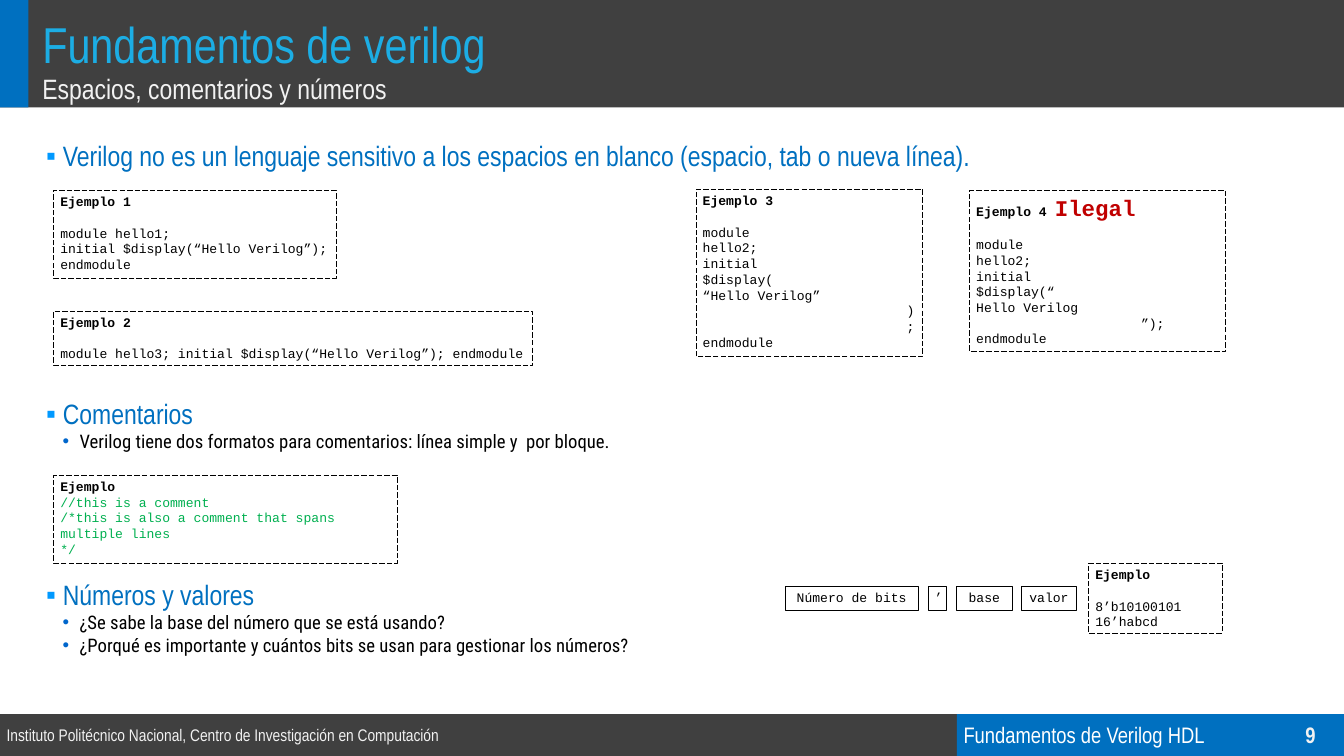
from dataclasses import dataclass

from lxml.etree import SubElement
from pptx import Presentation
from pptx.dml.color import RGBColor as Rgb
from pptx.enum.dml import MSO_LINE as Dash
from pptx.enum.shapes import MSO_SHAPE as Kind
from pptx.enum.text import MSO_ANCHOR as Anchor, PP_ALIGN as Align
from pptx.oxml.ns import qn
from pptx.util import Cm, Pt


@dataclass(frozen=True)
class Theme:
    dark: str = "404040"
    blue: str = "0070C0"
    sky: str = "1CADE4"
    pale: str = "F2F2F2"
    white: str = "FFFFFF"
    black: str = "000000"
    red: str = "C00000"
    green: str = "00B050"
    square: str = "0099FF"
    dot: str = "0066CC"
    narrow: str = "Arial Narrow"
    mono: str = "Courier New"
    text: str = "Roboto Condensed"
    title: int = 54
    head: int = 30
    foot: int = 24
    item: int = 20
    small: int = 18
    code: int = 14


look = Theme()


def add_run(par, text, face, size, color, bold=False):
    run = par.add_run()
    run.text = text
    font = run.font
    font.name, font.size, font.bold = face, Pt(size), bold
    font.color.rgb = Rgb.from_string(color)


def add_box(spot, fill=None, line=None):
    """Add a rectangle at left, top, width, height in cm; fill and line are optional."""
    box = slide.shapes.add_shape(Kind.RECTANGLE, *map(Cm, spot))
    box.shadow.inherit = False
    if fill:
        box.fill.solid()
        box.fill.fore_color.rgb = Rgb.from_string(fill)
    else:
        box.fill.background()
    if line:
        box.line.color.rgb = Rgb.from_string(look.black)
        box.line.width = Pt(0.75)
        box.line.dash_style = line
    else:
        box.line.fill.background()
    frame = box.text_frame
    frame.word_wrap = True
    frame.vertical_anchor = Anchor.TOP
    frame.paragraphs[0].alignment = Align.LEFT
    return frame


deck = Presentation()
deck.slide_width, deck.slide_height = Cm(50.8), Cm(28.58)
slide = deck.slides.add_slide(deck.slide_layouts[6])

# Header and footer bands
for spot, fill in (
    ((0, 27, 50.8, 1.58), look.dark),
    ((36.17, 27, 14.63, 1.58), look.blue),
    ((0, 0, 50.8, 4.06), look.dark),
    ((0, 0, 1.07, 4.06), look.blue),
):
    add_box(spot, fill)

# Header and footer text
for spot, text, size, color, anchor in (
    ((1.35, 0.36, 34.82, 2.13), "Fundamentos de verilog", look.title, look.sky, Anchor.TOP),
    ((1.35, 2.57, 34.82, 1.24), "Espacios, comentarios y números", look.head, look.pale, Anchor.TOP),
    ((0, 27, 22.89, 1.52), "Instituto Politécnico Nacional, Centro de Investigación en Computación",
     look.small, look.pale, Anchor.MIDDLE),
    ((36.17, 27, 12.09, 1.52), "Fundamentos de Verilog HDL", look.foot, look.white, Anchor.MIDDLE),
):
    frame = add_box(spot)
    frame.vertical_anchor = anchor
    add_run(frame.paragraphs[0], text, look.narrow, size, color)

frame = add_box((48.26, 27, 2.54, 1.52))
frame.vertical_anchor = Anchor.MIDDLE
frame.paragraphs[0].alignment = Align.CENTER
add_run(frame.paragraphs[0], "9", look.narrow, look.foot, look.pale, True)

# Topics: level, space before in points, text
frame = add_box((0.86, 5.13, 48.41, 20))
for i, (level, gap, text) in enumerate((
    (1, 0, "Verilog no es un lenguaje sensitivo a los espacios en blanco (espacio, tab o nueva línea)."),
    (1, 240, "Comentarios"),
    (2, 0, "Verilog tiene dos formatos para comentarios: línea simple y  por bloque."),
    (1, 134, "Números y valores"),
    (2, 0, "¿Se sabe la base del número que se está usando?"),
    (2, 0, "¿Porqué es importante y cuántos bits se usan para gestionar los números?"),
)):
    par = frame.add_paragraph() if i else frame.paragraphs[0]
    par.alignment = Align.LEFT
    par.space_before = Pt(gap)
    props = par._p.get_or_add_pPr()
    props.set("marL", str(Cm(0.64 + 0.63 * level)))
    props.set("indent", str(Cm(-0.64)))
    mark, tint = ("▪", look.square) if level == 1 else ("•", look.dot)
    SubElement(SubElement(props, qn("a:buClr")), qn("a:srgbClr")).set("val", tint)
    SubElement(props, qn("a:buFont")).set("typeface", "Arial")
    SubElement(props, qn("a:buChar")).set("char", mark)
    if level == 1:
        add_run(par, text, look.narrow, look.head, look.blue)
    else:
        add_run(par, text, look.text, look.item, look.black)

# Code examples: place, heading, note, space after heading, colour, lines
for spot, head, note, gap, color, lines in (
    ((2.03, 7.19, 10.67, 3.33), "Ejemplo 1", "", 17, look.black,
     ("module hello1;", "initial $display(“Hello Verilog”);", "endmodule")),
    ((26.31, 7.16, 8.56, 6.32), "Ejemplo 3", "", 17, look.black,
     ("module", "hello2;", "initial", "$display(", "“Hello Verilog”",
      "                          )", "                          ;", "endmodule")),
    ((2.03, 11.76, 18.11, 2.06), "Ejemplo 2", "", 17, look.black,
     ("module hello3; initial $display(“Hello Verilog”); endmodule",)),
    ((36.65, 7.21, 9.68, 6.07), "Ejemplo 4 ", "Ilegal", 17, look.black,
     ("module", "hello2;", "initial", "$display(“", "Hello Verilog",
      "                     ”);", "endmodule")),
    ((2.03, 17.96, 12.98, 3.33), "Ejemplo", "", 0, look.green,
     ("//this is a comment", "/*this is also a comment that spans", "multiple lines", "*/")),
    ((41.15, 21.29, 5.05, 2.64), "Ejemplo", "", 17, look.black,
     ("8’b10100101", "16’habcd")),
):
    frame = add_box(spot, line=Dash.LONG_DASH)
    par = frame.paragraphs[0]
    add_run(par, head, look.mono, look.code, look.black, True)
    if note:
        add_run(par, note, look.mono, look.foot, look.red, True)
    for i, text in enumerate(lines):
        par = frame.add_paragraph()
        par.alignment = Align.LEFT
        par.space_before = Pt(0 if i else gap)
        add_run(par, text, look.mono, look.code, color)

# Parts of a number, left to right with an equal gap
left = 29.67
for text, wide in (("Número de bits", 5.05), ("’", 0.71), ("base", 2.11), ("valor", 2.06)):
    frame = add_box((left, 22.15, wide, 0.91), line=Dash.SOLID)
    frame.paragraphs[0].alignment = Align.CENTER
    add_run(frame.paragraphs[0], text, look.mono, look.code, look.black)
    left += wide + 0.36

deck.save("out.pptx")
